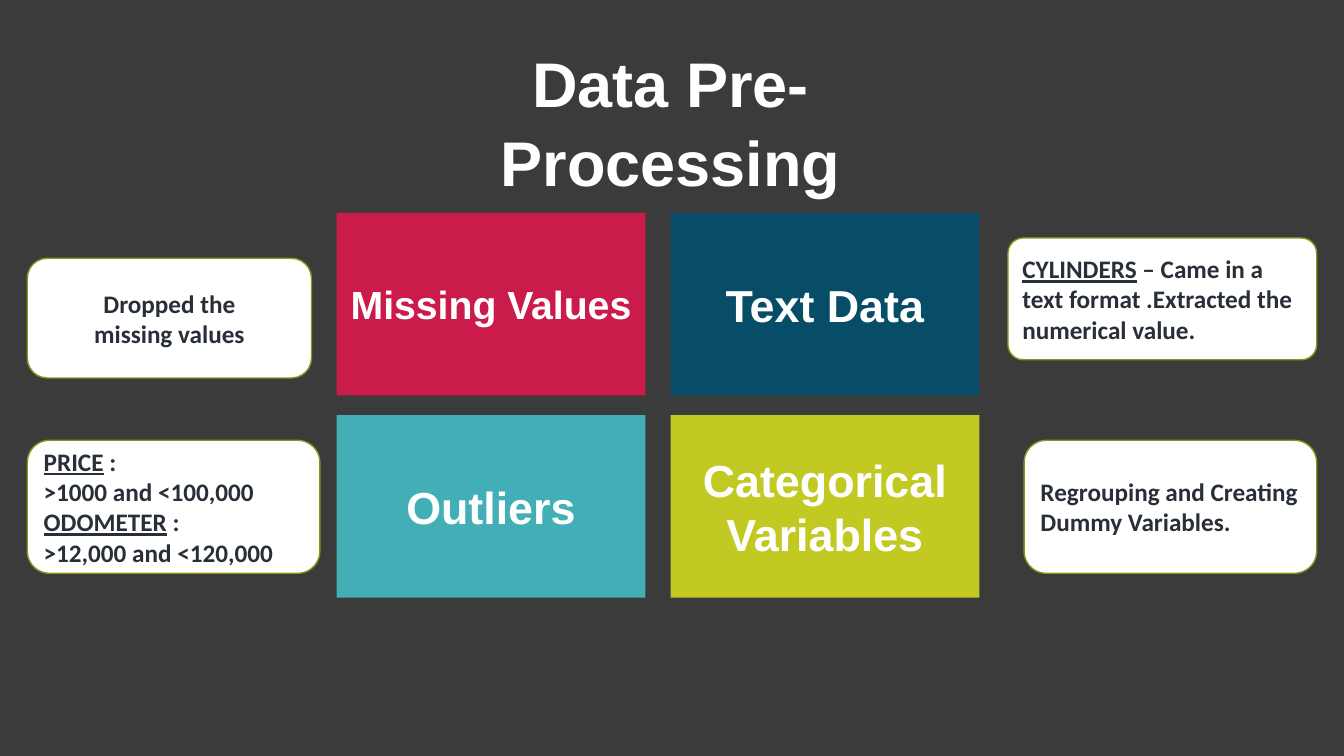
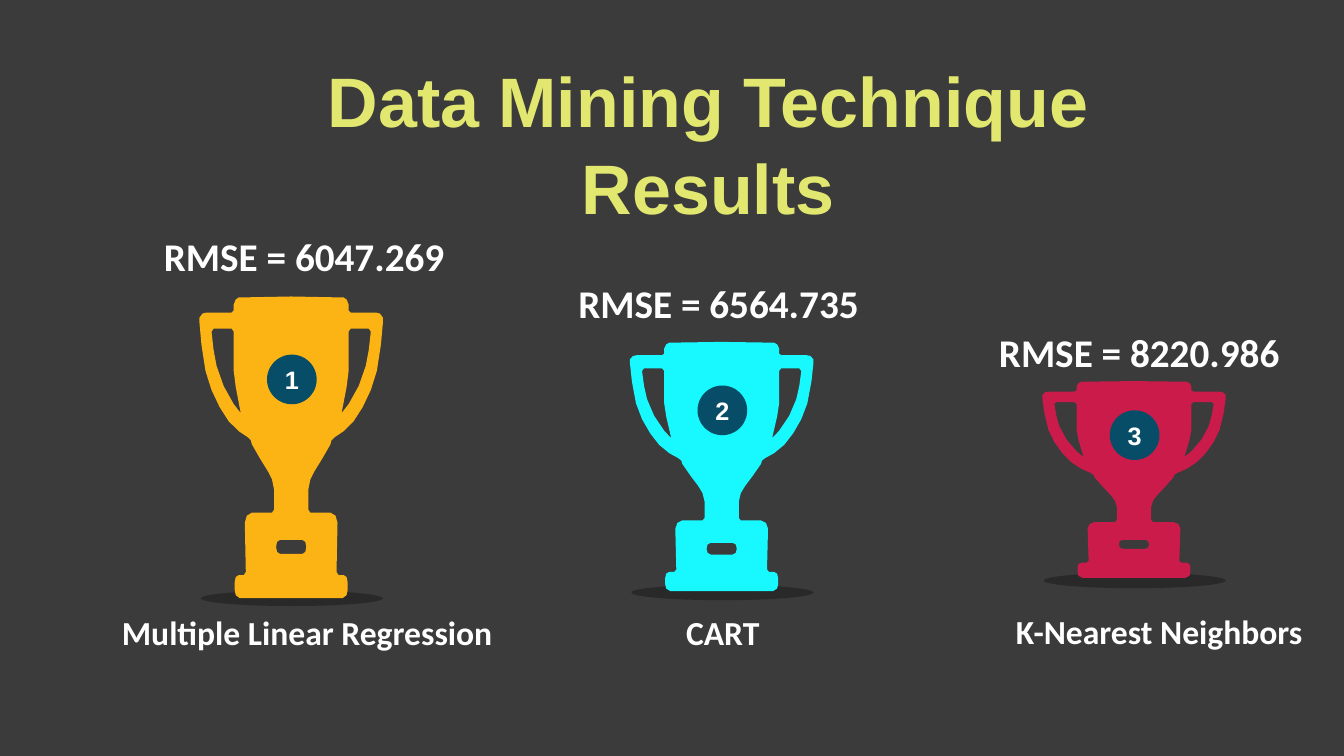
from dataclasses import dataclass

from lxml import etree
from pptx import Presentation
from pptx.dml.color import RGBColor
from pptx.enum.shapes import MSO_SHAPE
from pptx.enum.text import MSO_ANCHOR, MSO_AUTO_SIZE, PP_ALIGN
from pptx.oxml.ns import qn
from pptx.shapes.autoshape import Shape
from pptx.slide import Slide
from pptx.text.text import TextFrame, _Paragraph
from pptx.util import Pt

RECTANGLE = MSO_SHAPE.RECTANGLE
ROUNDED = MSO_SHAPE.ROUNDED_RECTANGLE
OVAL = MSO_SHAPE.OVAL
CENTER = PP_ALIGN.CENTER
LEFT = PP_ALIGN.LEFT
TOP = MSO_ANCHOR.TOP
MIDDLE = MSO_ANCHOR.MIDDLE
NO_FIT = MSO_AUTO_SIZE.NONE

COLORS = {
    "background": "3B3B3B",
    "white": "FFFFFF",
    "ink": "282F39",
    "border": "8D9219",
    "red": "CB1B4A",
    "teal": "42AFB6",
    "navy": "074D67",
    "lime": "C2C923",
    "pale_lime": "E2E770",
    "gold": "FCB414",
    "cyan": "17F8FF",
    "black": "000000",
}
HEADING_FONT = "Arial"
BODY_FONT = "Calibri"


@dataclass(frozen=True)
class Box:
    left: float
    top: float
    width: float
    height: float


@dataclass(frozen=True)
class Topic:
    name: str
    color: str
    column: int
    row: int
    size: int = 32


@dataclass(frozen=True)
class Line:
    text: str
    term: str = ""


@dataclass(frozen=True)
class Note:
    box: Box
    lines: tuple[Line, ...]
    corner: float = 0.167
    align: PP_ALIGN = LEFT
    margin: float = 7.2


@dataclass(frozen=True)
class Result:
    rank: int
    technique: str
    technique_box: Box
    rmse: str
    rmse_box: Box
    color: str
    center: float
    top: float
    height: float


TILE = Box(240.5, 152, 220.5, 130.5)
TILE_STEP_X = 238.5
TILE_STEP_Y = 144.5

TOPICS = (
    Topic("Missing Values", "red", 0, 0, 28),
    Topic("Outliers", "teal", 0, 1),
    Topic("Text Data", "navy", 1, 0),
    Topic("Categorical Variables", "lime", 1, 1),
)

NOTES = (
    Note(Box(19.5, 184.5, 203, 85.5), (Line("Dropped the missing values"),),
         align=CENTER, margin=40),
    Note(Box(19.5, 314.5, 209, 95),
         (Line(" :", "PRICE"), Line(">1000 and <100,000"),
          Line(" :", "ODOMETER"), Line(">12,000 and <120,000"))),
    Note(Box(720, 170, 220.5, 87),
         (Line(" – Came in a text format .Extracted the numerical value.", "CYLINDERS"),),
         corner=0.125),
    Note(Box(731.5, 314.5, 209, 95),
         (Line("Regrouping and Creating Dummy Variables."),)),
)

RESULTS = (
    Result(1, "Multiple Linear Regression", Box(80, 433.5, 282, 36),
           "RMSE = 6047.269", Box(110, 162.5, 222, 41), "gold", 208, 211.8, 215.5),
    Result(2, "CART", Box(483, 433.5, 68, 36),
           "RMSE = 6564.735", Box(406, 196, 222, 41), "cyan", 515.5, 244.2, 178),
    Result(3, "K-Nearest Neighbors", Box(718.5, 433, 228, 36),
           "RMSE = 8220.986", Box(706.5, 231, 222, 41), "red", 810, 272.2, 140.5),
)

Points = tuple[tuple[float, float], ...]
CUP_UNIT = 0.72
CUP_HEIGHT = 300
CUP_EDGE: Points = (
    (0, 0), (52, 1), (55, 3), (57, 8), (57, 14), (59, 16), (84, 16), (88, 17),
    (91, 21), (91, 26), (89, 48), (85, 74), (79, 93), (71, 110), (62, 124),
    (52, 134), (43, 140), (40, 143), (39, 147), (31, 161), (23, 174), (19, 182),
    (17, 192), (17, 212), (19, 215), (39, 215), (44, 218), (46, 225), (45, 274),
    (47, 277), (52, 277), (55, 279), (56, 284), (56, 292), (55, 297), (51, 300),
    (0, 300),
)
HANDLE_HOLE: Points = (
    (50, 116), (57, 107), (67, 89), (74, 69), (77, 53), (79, 35), (77, 32),
    (59, 32), (57, 35), (57, 55), (57, 74), (55, 90),
)
PLATE_EDGE: Points = (
    (0, 242), (11, 242), (14, 244), (15, 249), (14, 254), (11, 256), (0, 256),
)


def rgb(name: str) -> RGBColor:
    return RGBColor.from_string(COLORS[name])


def mirrored(points: Points) -> Points:
    return tuple((-x, y) for x, y in reversed(points))


def style(paragraph: _Paragraph, size: float, color: str, font: str,
          align: PP_ALIGN = LEFT) -> None:
    paragraph.alignment = align
    paragraph.font.size = Pt(size)
    paragraph.font.name = font
    paragraph.font.bold = True
    paragraph.font.color.rgb = rgb(color)


def frame_text(frame: TextFrame, anchor: MSO_ANCHOR, side_margin: float = 7.2) -> None:
    frame.word_wrap = True
    frame.auto_size = NO_FIT
    frame.vertical_anchor = anchor
    frame.margin_left = frame.margin_right = Pt(side_margin)
    frame.margin_top = frame.margin_bottom = Pt(3.6)


def paint(shape: Shape, color: str) -> None:
    shape.shadow.inherit = False
    shape.fill.solid()
    shape.fill.fore_color.rgb = rgb(color)
    shape.line.fill.background()


def add_filled(slide: Slide, kind: MSO_SHAPE, box: Box, color: str) -> Shape:
    shape = slide.shapes.add_shape(
        kind, Pt(box.left), Pt(box.top), Pt(box.width), Pt(box.height))
    paint(shape, color)
    return shape


def add_titled_slide(prs: Presentation, text: str, box: Box, size: float,
                     color: str) -> Slide:
    slide = prs.slides.add_slide(prs.slide_layouts[5])
    title = slide.shapes.title
    title.left, title.top = Pt(box.left), Pt(box.top)
    title.width, title.height = Pt(box.width), Pt(box.height)
    title.text_frame.text = text
    frame_text(title.text_frame, TOP)
    heading = title.text_frame.paragraphs[0]
    style(heading, size, color, HEADING_FONT, CENTER)
    heading.line_spacing = 1.04
    return slide


def add_topic(slide: Slide, topic: Topic) -> None:
    box = Box(TILE.left + topic.column * TILE_STEP_X,
              TILE.top + topic.row * TILE_STEP_Y, TILE.width, TILE.height)
    tile = add_filled(slide, RECTANGLE, box, topic.color)
    frame_text(tile.text_frame, MIDDLE)
    tile.text_frame.text = topic.name
    style(tile.text_frame.paragraphs[0], topic.size, "white", HEADING_FONT, CENTER)


def add_note(slide: Slide, note: Note) -> None:
    card = add_filled(slide, ROUNDED, note.box, "white")
    card.adjustments[0] = note.corner
    card.line.color.rgb = rgb("border")
    card.line.width = Pt(1)
    frame = card.text_frame
    frame_text(frame, MIDDLE, note.margin)
    for index, line in enumerate(note.lines):
        paragraph = frame.add_paragraph() if index else frame.paragraphs[0]
        style(paragraph, 18, "ink", BODY_FONT, note.align)
        if line.term:
            term = paragraph.add_run()
            term.text = line.term
            term.font.underline = True
        paragraph.add_run().text = line.text


def add_label(slide: Slide, text: str, box: Box, size: float) -> None:
    label = slide.shapes.add_textbox(
        Pt(box.left), Pt(box.top), Pt(box.width), Pt(box.height))
    frame_text(label.text_frame, TOP)
    label.text_frame.text = text
    style(label.text_frame.paragraphs[0], size, "white", BODY_FONT)


def add_cup(slide: Slide, result: Result) -> None:
    def placed(points: Points) -> list[tuple[int, int]]:
        return [(Pt(result.center + x * CUP_UNIT),
                 Pt(result.top + y * result.height / CUP_HEIGHT)) for x, y in points]

    outline, *holes = (
        placed(points) for points in (
            CUP_EDGE + mirrored(CUP_EDGE), HANDLE_HOLE, mirrored(HANDLE_HOLE),
            PLATE_EDGE + mirrored(PLATE_EDGE)))
    builder = slide.shapes.build_freeform(*outline[0])
    builder.add_line_segments(outline[1:])
    for hole in holes:
        builder.move_to(*hole[0])
        builder.add_line_segments(hole[1:])
    paint(builder.convert_to_shape(), result.color)


def add_result(slide: Slide, result: Result) -> None:
    middle = result.center + 0.5
    ground = add_filled(
        slide, OVAL,
        Box(middle - 65, result.top + 0.975 * result.height, 130, 11), "black")
    tone = ground.fill._xPr.find(qn("a:solidFill"))[0]
    etree.SubElement(tone, qn("a:alpha")).set("val", "30000")
    add_cup(slide, result)
    add_label(slide, result.technique, result.technique_box, 24)
    add_label(slide, result.rmse, result.rmse_box, 28)
    badge = add_filled(
        slide, OVAL,
        Box(middle - 17.75, result.top + 0.275 * result.height - 17.75, 35.5, 35.5),
        "navy")
    frame_text(badge.text_frame, MIDDLE, 0)
    badge.text_frame.text = str(result.rank)
    style(badge.text_frame.paragraphs[0], 18, "white", HEADING_FONT, CENTER)


def main() -> None:
    prs = Presentation()
    prs.slide_width, prs.slide_height = Pt(960), Pt(540)
    backdrop = prs.slide_master.background.fill
    backdrop.solid()
    backdrop.fore_color.rgb = rgb("background")

    preparation = add_titled_slide(
        prs, "Data Pre-Processing", Box(255, 26, 448, 116), 45, "white")
    for topic in TOPICS:
        add_topic(preparation, topic)
    for note in NOTES:
        add_note(preparation, note)

    results = add_titled_slide(
        prs, "Data Mining Technique Results", Box(172.5, 35, 667, 128), 50, "pale_lime")
    for result in RESULTS:
        add_result(results, result)

    prs.save("out.pptx")


if __name__ == "__main__":
    main()
